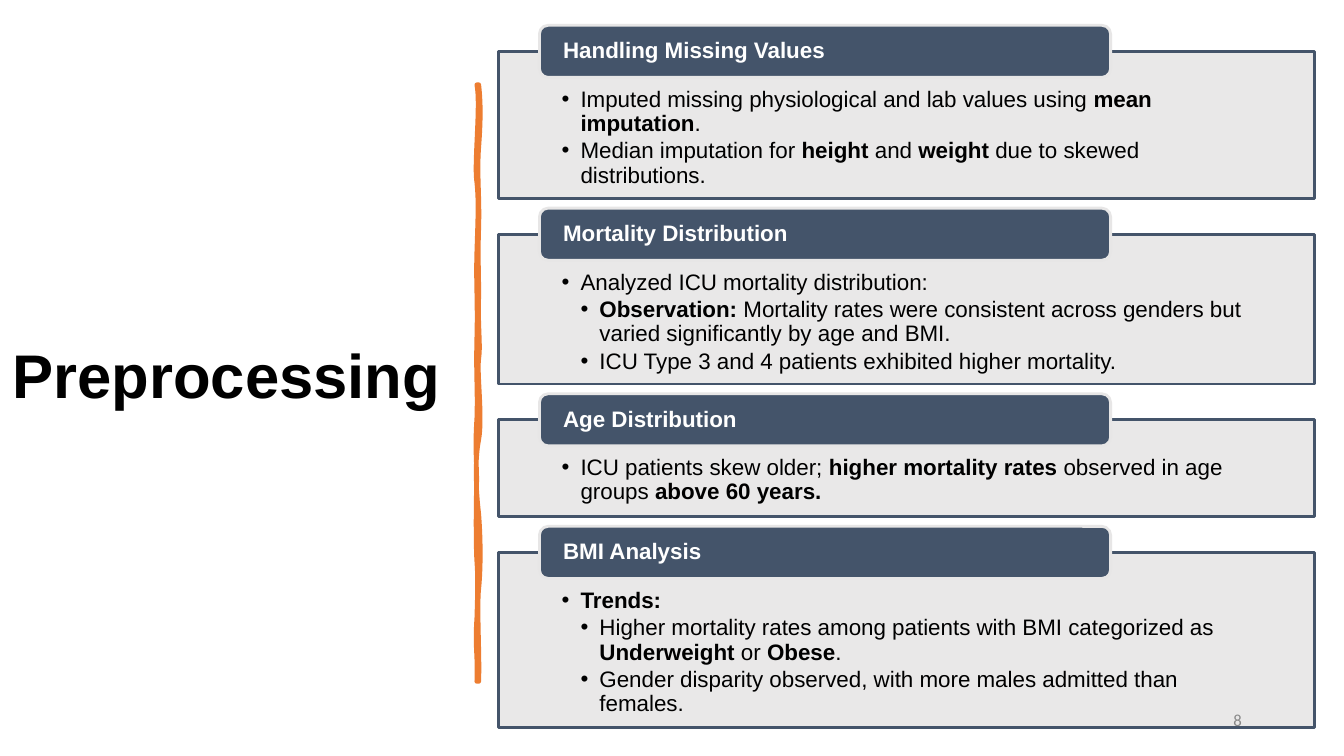
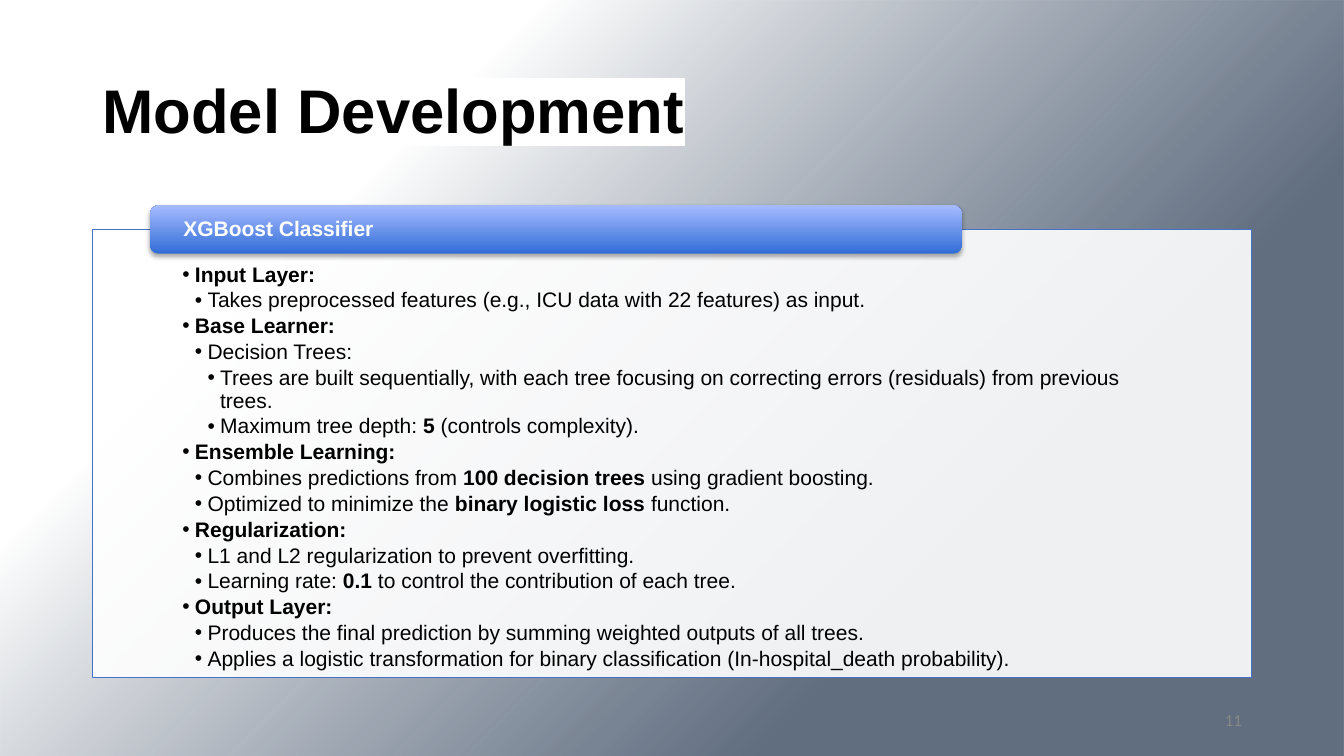
from lxml import etree
from pptx import Presentation
from pptx.dml.color import RGBColor
from pptx.enum import shapes, text
from pptx.oxml import ns
from pptx.util import Pt

# Shared style
COLORS = {
    "ink": "000000", "white": "FFFFFF", "slate": "44546A", "mist": "E7E6E6",
    "orange": "ED7D31", "blue": "4472C4", "deep": "316DD7", "sky": "A6BBFF",
    "grey": "888888",
}
FONT = "Arial"
TITLE_SIZE = 44
SHAPE = shapes.MSO_SHAPE
TOP, MIDDLE = text.MSO_ANCHOR.TOP, text.MSO_ANCHOR.MIDDLE

# Slide 1: (heading, box height, [(level, text with **bold** parts)])
PREPROCESSING = [
    ("Handling Missing Values", 105.1, [
        (1, "Imputed missing physiological and lab values using **mean imputation**."),
        (1, "Median imputation for **height** and **weight** due to skewed distributions."),
    ]),
    ("Mortality Distribution", 107.1, [
        (1, "Analyzed ICU mortality distribution:"),
        (2, "**Observation:** Mortality rates were consistent across genders but "
            "varied significantly by age and BMI."),
        (2, "ICU Type 3 and 4 patients exhibited higher mortality."),
    ]),
    ("Age Distribution", 69.2, [
        (1, "ICU patients skew older; **higher mortality rates** observed in age "
            "groups **above 60 years.**"),
    ]),
    ("BMI Analysis", 125, [
        (1, "**Trends:**"),
        (2, "Higher mortality rates among patients with BMI categorized as "
            "**Underweight** or **Obese**."),
        (2, "Gender disparity observed, with more males admitted than females."),
    ]),
]

# Slide 2
CLASSIFIER = [
    (1, "**Input Layer:**"),
    (2, "Takes preprocessed features (e.g., ICU data with 22 features) as input."),
    (1, "**Base Learner:**"),
    (2, "Decision Trees:"),
    (3, "Trees are built sequentially, with each tree focusing on correcting errors "
        "(residuals) from previous trees."),
    (3, "Maximum tree depth: **5** (controls complexity)."),
    (1, "**Ensemble Learning:**"),
    (2, "Combines predictions from **100 decision trees** using gradient boosting."),
    (2, "Optimized to minimize the **binary logistic loss** function."),
    (1, "**Regularization:**"),
    (2, "L1 and L2 regularization to prevent overfitting."),
    (2, "Learning rate: **0.1** to control the contribution of each tree."),
    (1, "**Output Layer:**"),
    (2, "Produces the final prediction by summing weighted outputs of all trees."),
    (2, "Applies a logistic transformation for binary classification "
        "(In-hospital_death probability)."),
]

# Hand-drawn rule: cubic curves in units of 0.72 pt, each row two handles and an end
RULE_UNIT = 0.72
RULE_START = (475, 84)
RULE_STROKE = [
    (477, 102, 477, 119, 475, 146), (473, 173, 476, 195, 475, 226),
    (474, 257, 475, 262, 475, 294), (474, 325, 477, 342, 475, 356),
    (473, 370, 479, 414, 475, 436), (471, 457, 472, 484, 475, 510),
    (477, 536, 477, 564, 475, 584), (473, 603, 476, 650, 475, 676),
    (474, 676, 473, 676, 473, 676), (474, 646, 471, 644, 473, 613),
    (474, 583, 474, 570, 473, 557), (472, 544, 472, 495, 473, 477),
    (473, 459, 471, 445, 473, 415), (474, 386, 472, 373, 473, 335),
    (474, 298, 472, 281, 473, 250), (474, 218, 475, 200, 473, 181),
    (470, 163, 477, 104, 473, 84), (474, 84, 474, 84, 475, 84),
]
RULE_BODY = [
    (475, 115, 472, 125, 475, 152), (477, 179, 474, 197, 475, 208),
    (476, 220, 474, 255, 475, 294), (476, 333, 473, 343, 475, 362),
    (477, 381, 477, 397, 475, 430), (472, 463, 475, 474, 475, 516),
    (475, 557, 474, 553, 475, 578), (476, 603, 474, 647, 475, 676),
    (474, 675, 473, 675, 473, 676), (470, 649, 474, 632, 473, 613),
    (472, 595, 475, 569, 473, 539), (471, 510, 476, 500, 473, 471),
    (470, 442, 477, 420, 473, 386), (469, 351, 474, 325, 473, 300),
    (471, 275, 471, 259, 473, 238), (474, 216, 474, 185, 473, 164),
    (471, 143, 475, 121, 473, 84), (474, 84, 474, 84, 475, 84),
]


def rgb(name):
    return RGBColor.from_string(COLORS[name])


def sub(parent, tag, **attrs):
    el = etree.SubElement(parent, ns.qn(tag))
    for key, value in attrs.items():
        el.set(key, str(value))
    return el


# Fills, lines and effects
def set_fill(sp, name, alpha=100):
    sp.fill.solid()
    sp.fill.fore_color.rgb = rgb(name)
    if alpha < 100:
        clr = sp.fill._xPr.find(".//" + ns.qn("a:srgbClr"))
        sub(clr, "a:alpha", val=alpha * 1000)


def set_gradient(sp, stops, angle=None):
    """Linear at the given angle, or circular from the lower right corner."""
    sp.fill.background()
    props = sp._element.spPr
    grad = etree.Element(ns.qn("a:gradFill"), rotWithShape="1")
    stop_list = sub(grad, "a:gsLst")
    for pos, name, alpha in stops:
        clr = sub(sub(stop_list, "a:gs", pos=pos * 1000), "a:srgbClr", val=COLORS[name])
        if alpha < 100:
            sub(clr, "a:alpha", val=alpha * 1000)
    if angle is None:
        circle = sub(grad, "a:path", path="circle")
        sub(circle, "a:fillToRect", l=100000, t=100000)
    else:
        sub(grad, "a:lin", ang=angle * 60000, scaled=0)
    props.replace(props.find(ns.qn("a:noFill")), grad)


def set_line(sp, name=None, width=0):
    if name is None:
        sp.line.fill.background()
    else:
        sp.line.color.rgb = rgb(name)
        sp.line.width = Pt(width)


def add_soft_shadow(sp):
    effects = sp._element.spPr.find(ns.qn("a:effectLst"))
    shadow = sub(effects, "a:outerShdw", blurRad=Pt(3.1), dist=Pt(1.8),
                 dir=90 * 60000, rotWithShape=0)
    sub(sub(shadow, "a:srgbClr", val=COLORS["ink"]), "a:alpha", val=35000)


# Text
def set_frame(sp, anchor, insets=(7.2, 3.6, 7.2, 3.6)):
    tf = sp.text_frame
    tf.word_wrap = True
    tf.vertical_anchor = anchor
    tf.margin_left, tf.margin_top, tf.margin_right, tf.margin_bottom = map(Pt, insets)
    return tf


def style_run(r, size, color="ink", bold=False, font=FONT):
    r.font.size, r.font.bold, r.font.name = Pt(size), bold, font
    r.font.color.rgb = rgb(color)


def set_line_of_text(tf, words, size, color="ink", bold=True, font=FONT):
    p = tf.paragraphs[0]
    p.text = words
    p.alignment = text.PP_ALIGN.LEFT
    p.line_spacing = 0.9
    style_run(p.runs[0], size, color, bold, font)
    return p


def add_bullets(tf, items, size, step):
    for i, (level, words) in enumerate(items):
        p = tf.add_paragraph() if i else tf.paragraphs[0]
        p.alignment = text.PP_ALIGN.LEFT
        p.level = level
        p.line_spacing = 0.9
        p.space_after = Pt(round(size * 0.15, 2))
        props = p._p.get_or_add_pPr()
        props.set("marL", str(Pt(step * level)))
        props.set("indent", str(-Pt(step)))
        sub(sub(props, "a:buClr"), "a:srgbClr", val=COLORS["ink"])
        sub(props, "a:buFont", typeface=FONT)
        sub(props, "a:buChar", char="•")
        for j, part in enumerate(words.split("**")):
            if part:
                r = p.add_run()
                r.text = part
                style_run(r, size, bold=j % 2 == 1)


# Slide elements
def add_box(s, kind, *frame):
    sp = s.shapes.add_shape(kind, *map(Pt, frame))
    sp.shadow.inherit = False
    return sp


def add_title(s, words, *frame, highlight=False):
    tf = set_frame(s.shapes.add_textbox(*map(Pt, frame)), MIDDLE)
    p = set_line_of_text(tf, words, TITLE_SIZE)
    p.space_after = Pt(6)
    if highlight:
        mark = etree.Element(ns.qn("a:highlight"))
        sub(mark, "a:srgbClr", val=COLORS["white"])
        p.runs[0].font._element.find(ns.qn("a:solidFill")).addnext(mark)


def add_page_number(s, number):
    box = s.shapes.add_textbox(Pt(678.2), Pt(500.8), Pt(216), Pt(28.8))
    p = set_line_of_text(set_frame(box, MIDDLE), str(number), 12, "grey", False, "Calibri")
    p.alignment = text.PP_ALIGN.RIGHT


def add_panel(s, frame, items, size, step, insets):
    panel = add_box(s, SHAPE.RECTANGLE, *frame)
    add_bullets(set_frame(panel, TOP, insets), items, size, step)
    return panel


def add_tab(s, frame, words, size, inset):
    tab = add_box(s, SHAPE.ROUNDED_RECTANGLE, *frame)
    tf = set_frame(tab, MIDDLE, (inset, 0, inset, 0))
    set_line_of_text(tf, words, size, "white")
    return tab


def add_sketched_rule(s):
    ends = [curve[4:] for curve in RULE_STROKE]
    builder = s.shapes.build_freeform(*RULE_START, scale=Pt(RULE_UNIT))
    builder.add_line_segments(ends, close=False)
    sp = builder.convert_to_shape()
    sp.shadow.inherit = False
    # Turn the straight outline into curves: one path stroked, one filled
    left, top = (min(axis) for axis in zip(*ends))
    paths = sp._element.spPr.find(".//" + ns.qn("a:pathLst"))
    size = dict(paths[0].attrib)
    paths.remove(paths[0])
    for curves, mode in ((RULE_STROKE, {"fill": "none"}), (RULE_BODY, {"stroke": "0"})):
        outline = sub(paths, "a:path", **size, **mode)
        sub(sub(outline, "a:moveTo"), "a:pt", x=RULE_START[0] - left, y=RULE_START[1] - top)
        for curve in curves:
            bend = sub(outline, "a:cubicBezTo")
            for x, y in zip(curve[::2], curve[1::2]):
                sub(bend, "a:pt", x=x - left, y=y - top)
        sub(outline, "a:close")
    set_fill(sp, "orange")
    set_line(sp, "orange", 3.25)


# Slides
def build_preprocessing(s):
    add_title(s, "Preprocessing", 1.8, 50.4, 330.5, 440)
    add_sketched_rule(s)
    top, gap = 36.7, 25.5
    for heading, height, items in PREPROCESSING:
        panel = add_panel(s, (356, top, 582.8, height), items, 16, 13.5,
                          (45.2, 26.1, 45.2, 8.6))
        set_fill(panel, "mist", 90)
        set_line(panel, "slate", 2)
        tab = add_tab(s, (385.3, top - 18.6, 408, 37.2), heading, 16, 15.1)
        set_fill(tab, "slate")
        set_line(tab, "mist", 2)
        top += height + gap
    add_page_number(s, 8)


def build_model(s):
    backdrop = add_box(s, SHAPE.RECTANGLE, 0, 0, 960.5, 540)
    set_gradient(backdrop, [(28, "slate", 84), (74, "white", 100)])
    set_line(backdrop)
    add_title(s, "Model Development", 66.2, 28.8, 828, 104.4, highlight=True)
    panel = add_panel(s, (66.2, 163.9, 828, 319.9), CLASSIFIER, 15, 9,
                      (64.1, 24.6, 64.1, 8.6))
    set_fill(panel, "white", 90)
    set_line(panel, "blue", 0.75)
    tab = add_tab(s, (107.3, 146.6, 579.6, 34.6), "XGBoost Classifier", 15, 22)
    set_gradient(tab, [(0, "deep", 100), (100, "sky", 100)], 270)
    set_line(tab)
    add_soft_shadow(tab)
    add_page_number(s, 11)


def main():
    prs = Presentation()
    prs.slide_width, prs.slide_height = Pt(960), Pt(540)
    for build in (build_preprocessing, build_model):
        build(prs.slides.add_slide(prs.slide_layouts[6]))
    prs.save("out.pptx")


if __name__ == "__main__":
    main()
